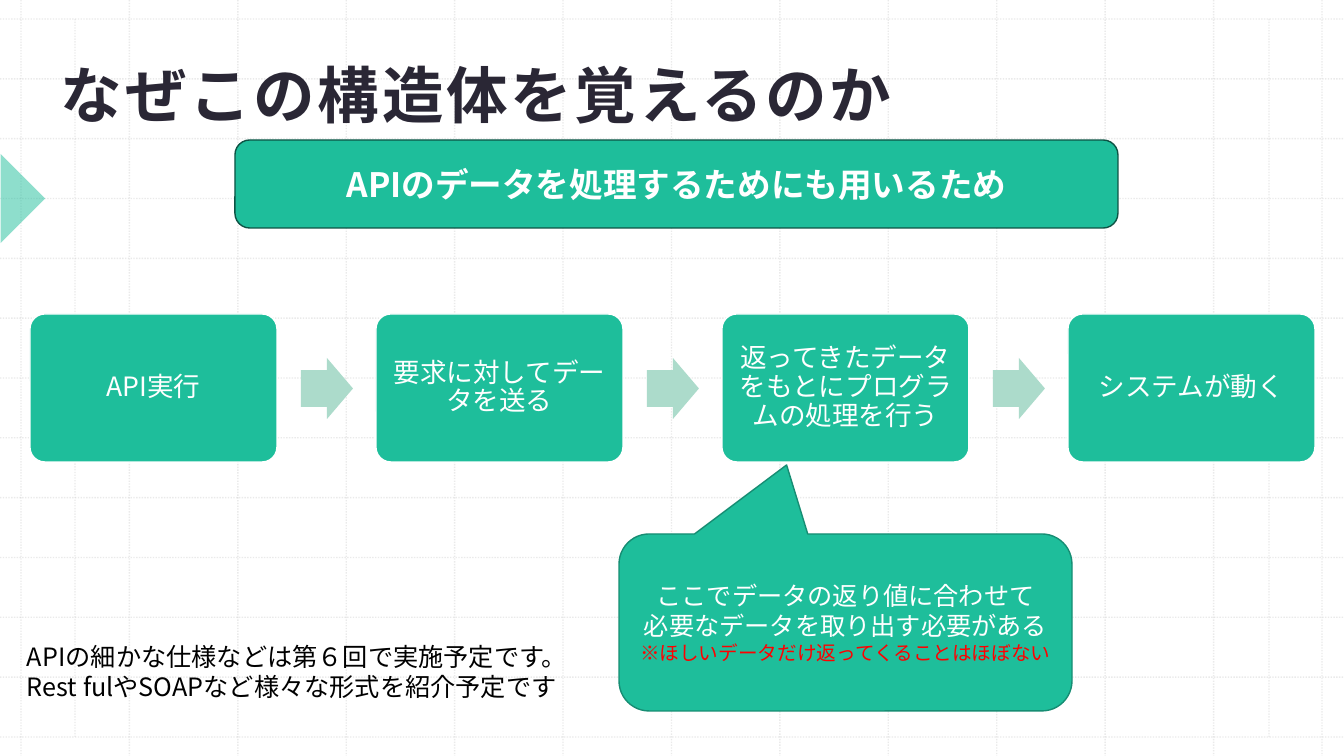
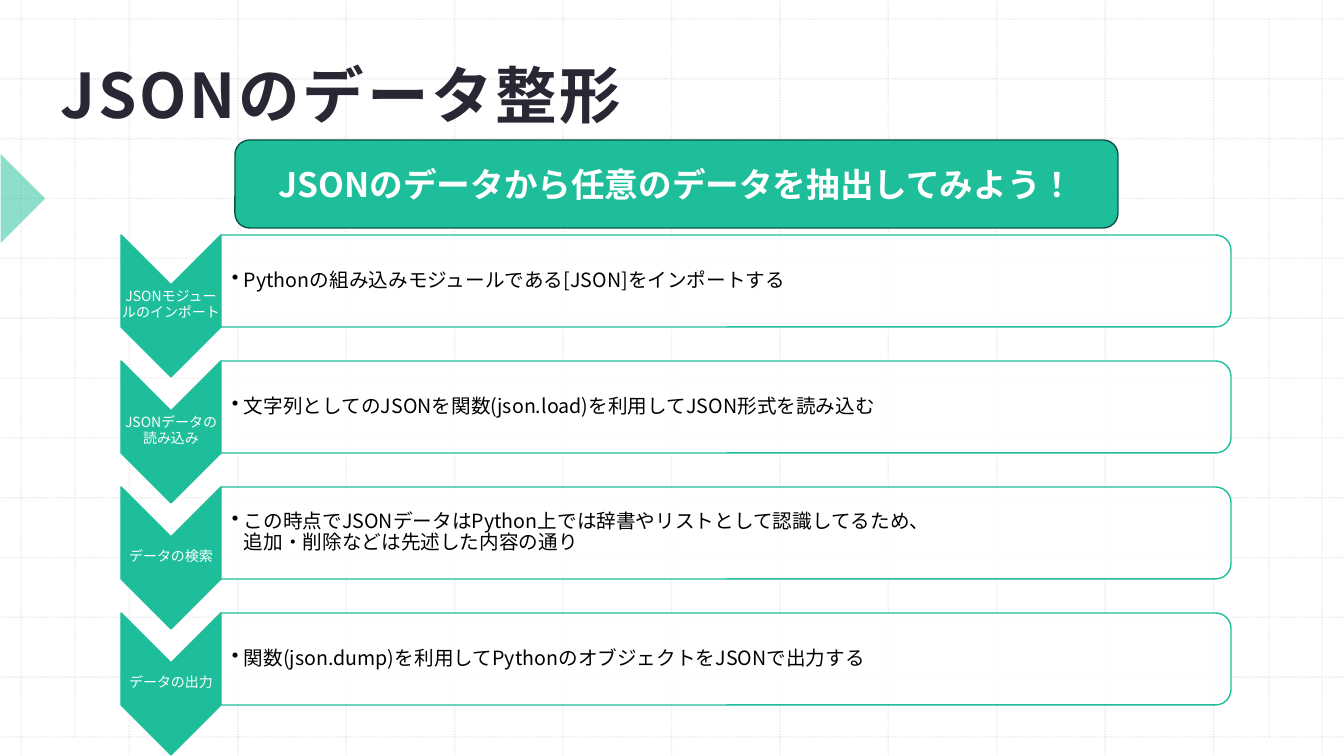
from lxml import etree
from pptx import Presentation
from pptx.dml.color import RGBColor
from pptx.enum.dml import MSO_LINE
from pptx.enum.lang import MSO_LANGUAGE_ID
from pptx.enum.shapes import MSO_CONNECTOR, MSO_SHAPE
from pptx.enum.text import MSO_ANCHOR, MSO_AUTO_SIZE, PP_ALIGN
from pptx.oxml.ns import qn
from pptx.util import Pt

# Enum members
ROUND_RECT, CALLOUT = MSO_SHAPE.ROUNDED_RECTANGLE, MSO_SHAPE.ROUNDED_RECTANGULAR_CALLOUT
ARROW, CHEVRON = MSO_SHAPE.RIGHT_ARROW, MSO_SHAPE.CHEVRON
TRIANGLE, PANEL = MSO_SHAPE.RIGHT_TRIANGLE, MSO_SHAPE.ROUND_2_SAME_RECTANGLE
STRAIGHT, DOTTED = MSO_CONNECTOR.STRAIGHT, MSO_LINE.ROUND_DOT
TOP, MIDDLE, BOTTOM = MSO_ANCHOR.TOP, MSO_ANCHOR.MIDDLE, MSO_ANCHOR.BOTTOM
LEFT, CENTER = PP_ALIGN.LEFT, PP_ALIGN.CENTER
JAPANESE = MSO_LANGUAGE_ID.JAPANESE

# Shared look
FONT = "Noto Sans CJK JP"
GREEN = RGBColor(0x1E, 0xBE, 0x9B)
DARK_GREEN = RGBColor(0x0D, 0x53, 0x44)
MID_GREEN = RGBColor(0x16, 0x8D, 0x73)
PALE_GREEN = RGBColor(0xAC, 0xDB, 0xCB)
INK = RGBColor(0x2A, 0x27, 0x35)
GRID_GRAY = RGBColor(0xBC, 0xBC, 0xBC)
WHITE = RGBColor(0xFF, 0xFF, 0xFF)
BLACK = RGBColor(0, 0, 0)
RED = RGBColor(0xFF, 0, 0)

SLIDE_W, SLIDE_H = 1344, 756
EMU_PER_PX = 914400 / 100.8
GRID_LEFT, GRID_RIGHT, GRID_TOP, GRID_BOTTOM, GRID_STEPS = 21, 1322, 19, 737, 12
GRID_MARGINS = (75, 1269)
DEFAULT_INSETS = (10, 5, 10, 5)

# Content
API_TITLE = "なぜこの構造体を覚えるのか"
API_BANNER = "APIのデータを処理するためにも用いるため"
API_STEPS = [
    "API実行",
    "要求に対してデータを送る",
    "返ってきたデータをもとにプログラムの処理を行う",
    "システムが動く",
]
CALLOUT_LINES = [
    ("ここでデータの返り値に合わせて", 18, WHITE),
    ("必要なデータを取り出す必要がある", 18, WHITE),
    ("※ほしいデータだけ返ってくることはほぼない", 14, RED),
]
API_NOTES = [
    ("APIの細かな仕様などは第６回で実施予定です。", 18, BLACK),
    ("Rest fulやSOAPなど様々な形式を紹介予定です", 18, BLACK),
]
JSON_TITLE = "JSONのデータ整形"
JSON_BANNER = "JSONのデータから任意のデータを抽出してみよう！"
JSON_STEPS = [
    ("JSONモジュールのインポート",
     "Pythonの組み込みモジュールである[JSON]をインポートする"),
    ("JSONデータの読み込み",
     "文字列としてのJSONを関数(json.load)を利用してJSON形式を読み込む"),
    ("データの検索",
     "この時点でJSONデータはPython上では辞書やリストとして認識してるため、\v"
     "追加・削除などは先述した内容の通り"),
    ("データの出力",
     "関数(json.dump)を利用してPythonのオブジェクトをJSONで出力する"),
]


def px(length):
    return round(length * EMU_PER_PX)


def set_alpha(element, percent):
    color = next(element.iter(qn("a:srgbClr")))
    etree.SubElement(color, qn("a:alpha")).set("val", str(percent * 1000))


def write(shape, lines, align=CENTER, anchor=MIDDLE, insets=DEFAULT_INSETS,
          spacing=None, bold=False, tracking=None, bullet=False, wrap=True):
    """Fill a shape with (text, size, colour) lines."""
    frame = shape.text_frame
    sides = ("margin_left", "margin_top", "margin_right", "margin_bottom")
    frame_format = dict(zip(sides, map(px, insets)), word_wrap=wrap, vertical_anchor=anchor)
    for name, value in frame_format.items():
        setattr(frame, name, value)
    for index, (text, size, color) in enumerate(lines):
        paragraph = frame.paragraphs[0] if index == 0 else frame.add_paragraph()
        paragraph.text = text
        paragraph.alignment = align
        if spacing:
            paragraph.line_spacing = spacing
        if bullet:
            properties = paragraph._p.get_or_add_pPr()
            properties.set("marL", str(px(12)))
            properties.set("indent", str(px(-12)))
            etree.SubElement(properties, qn("a:buChar")).set("char", "•")
        font_format = {"size": Pt(size), "bold": bold, "name": FONT, "language_id": JAPANESE}
        for run in paragraph.runs:
            for name, value in font_format.items():
                setattr(run.font, name, value)
            run.font.color.rgb = color
            run_properties = run._r.get_or_add_rPr()
            etree.SubElement(run_properties, qn("a:ea")).set("typeface", FONT)
            if tracking:
                run_properties.set("spc", str(tracking))


def add_shape(slide, kind, box, fill, line=None, alpha=None, rotation=0, adjust=()):
    """Add a preset shape; box is its unrotated left, top, width, height."""
    shape = slide.shapes.add_shape(kind, *map(px, box))
    shape.shadow.inherit = False
    shape.rotation = rotation
    shape.fill.solid()
    shape.fill.fore_color.rgb = fill
    if alpha:
        set_alpha(shape._element.spPr, alpha)
    if line is None:
        shape.line.fill.background()
    else:
        shape.line.color.rgb = line
        shape.line.width = Pt(1)
    for index, value in enumerate(adjust):
        shape.adjustments[index] = value
    return shape


def add_quarter_turned(slide, kind, box, fill, line, alpha=None):
    """Add a shape turned by 90 degrees that covers the given box."""
    left, top, width, height = box
    shift = (width - height) / 2
    unrotated = (left + shift, top - shift, height, width)
    return add_shape(slide, kind, unrotated, fill, line, alpha, rotation=90)


def add_text(slide, box, lines, **text_format):
    textbox = slide.shapes.add_textbox(*map(px, box))
    write(textbox, lines, **text_format)
    return textbox


def add_grid_line(slide, x1, y1, x2, y2):
    connector = slide.shapes.add_connector(STRAIGHT, px(x1), px(y1), px(x2), px(y2))
    connector.line.color.rgb = GRID_GRAY
    connector.line.width = Pt(1)
    connector.line.dash_style = DOTTED
    properties = connector._element.spPr
    set_alpha(properties, 30)
    etree.SubElement(properties, qn("a:effectLst"))


def add_base_slide(deck, title, banner):
    """Grid, side marker, title and banner that every slide carries."""
    slide = deck.slides.add_slide(deck.slide_layouts[6])
    for step in range(GRID_STEPS + 1):
        x = GRID_LEFT + (GRID_RIGHT - GRID_LEFT) * step / GRID_STEPS
        y = GRID_TOP + (GRID_BOTTOM - GRID_TOP) * step / GRID_STEPS
        add_grid_line(slide, x, 0, x, SLIDE_H)
        add_grid_line(slide, 0, y, SLIDE_W, y)
    for x in GRID_MARGINS:
        add_grid_line(slide, x, GRID_TOP, x, GRID_BOTTOM)
    add_shape(slide, TRIANGLE, (-31, 167, 63, 63), GREEN, alpha=50, rotation=225)
    add_text(slide, (49, 47, 1138, 94), [(title, 44, INK)], align=LEFT, anchor=BOTTOM,
             insets=(12, 12, 12, 10), spacing=1.13, bold=True, tracking=190)
    banner_box = add_shape(slide, ROUND_RECT, (235, 140, 883, 88), GREEN, DARK_GREEN)
    write(banner_box, [(banner, 24, WHITE)], bold=True)
    return slide


def build_api_slide(deck):
    slide = add_base_slide(deck, API_TITLE, API_BANNER)

    # Process boxes joined by arrows
    first_left, pitch, arrow_offset = 30, 346, 271
    for index, step in enumerate(API_STEPS):
        left = first_left + index * pitch
        step_box = add_shape(slide, ROUND_RECT, (left, 314, 247, 148), GREEN, WHITE,
                             adjust=(0.1,))
        write(step_box, [(step, 19, WHITE)], insets=(12, 12, 12, 12), spacing=0.9)
        if index < len(API_STEPS) - 1:
            add_shape(slide, ARROW, (left + arrow_offset, 358, 52, 61), PALE_GREEN,
                      adjust=(0.6, 0.5))

    # Callout and closing note
    callout = add_shape(slide, CALLOUT, (619, 534, 453, 177), GREEN, MID_GREEN,
                        adjust=(-0.13, -0.89, 0.17))
    write(callout, CALLOUT_LINES)
    notes = add_text(slide, (17, 636, 570, 72), API_NOTES, align=LEFT, anchor=TOP, wrap=False)
    notes.text_frame.auto_size = MSO_AUTO_SIZE.SHAPE_TO_FIT_TEXT


def build_json_slide(deck):
    slide = add_base_slide(deck, JSON_TITLE, JSON_BANNER)

    # Chevron list
    first_top, pitch, chevron_left, chevron_width = 235, 126, 121, 100
    panel_left = chevron_left + chevron_width
    for index, (label, detail) in enumerate(JSON_STEPS):
        top = first_top + index * pitch
        add_quarter_turned(slide, CHEVRON, (chevron_left, top, chevron_width, 142),
                           GREEN, GREEN)
        add_text(slide, (chevron_left, top + 49, chevron_width, 42), [(label, 10, WHITE)],
                 insets=(1, 1, 1, 1), spacing=0.9)
        add_quarter_turned(slide, PANEL, (panel_left, top, 1010, 92), WHITE, GREEN, alpha=90)
        add_text(slide, (panel_left, top + 4, 1005, 84), [(detail, 14, BLACK)], align=LEFT,
                 insets=(11, 1, 1, 1), spacing=0.9, bullet=True)


def main():
    deck = Presentation()
    deck.slide_width, deck.slide_height = px(SLIDE_W), px(SLIDE_H)
    build_api_slide(deck)
    build_json_slide(deck)
    deck.save("out.pptx")


if __name__ == "__main__":
    main()
